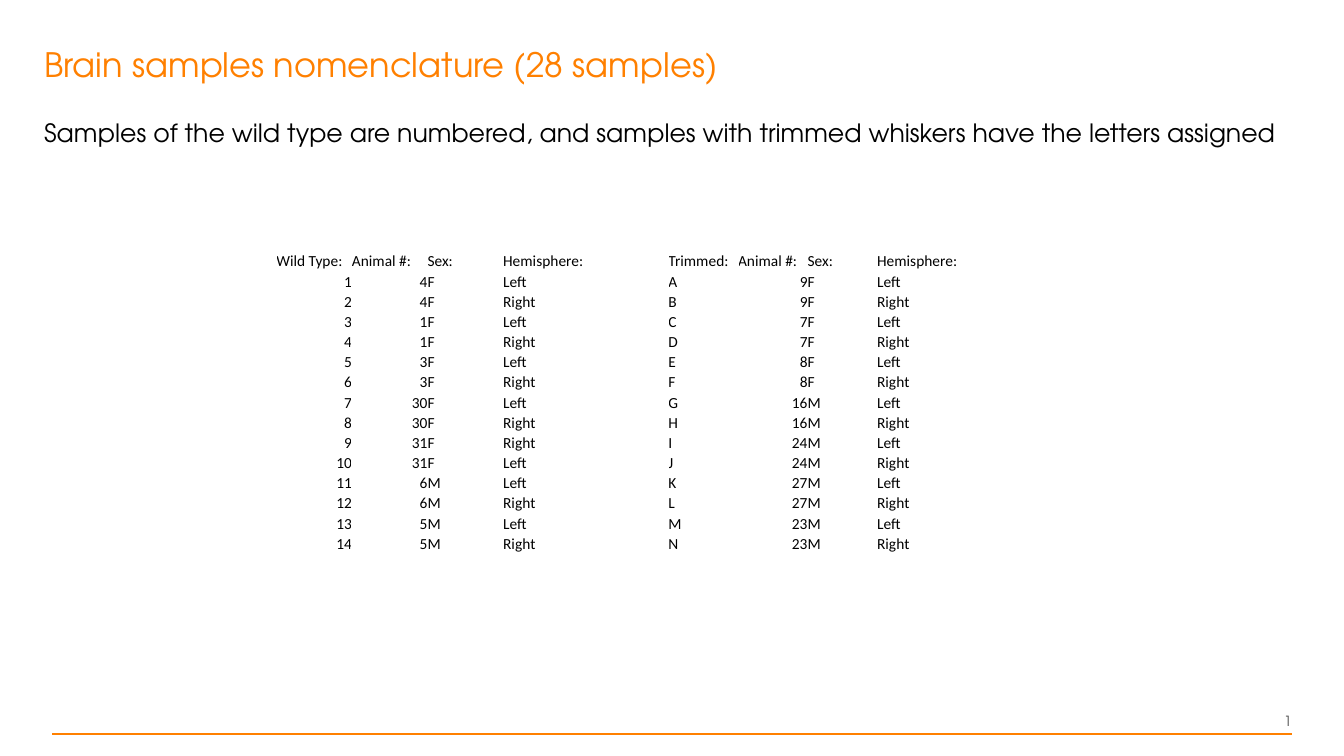
from pptx import Presentation
from pptx.dml.color import RGBColor
from pptx.enum.shapes import MSO_CONNECTOR
from pptx.enum.text import MSO_ANCHOR, PP_ALIGN
from pptx.oxml.ns import qn
from pptx.util import Inches, Pt

ORANGE = RGBColor(0xFF, 0x80, 0x00)
BLACK = RGBColor(0x00, 0x00, 0x00)
GRAY = RGBColor(0x4C, 0x4C, 0x4C)
HEADING_FONT = "TeX Gyre Adventor"
TABLE_FONT = "Calibri"
STRAIGHT = MSO_CONNECTOR.STRAIGHT
LEFT, RIGHT = PP_ALIGN.LEFT, PP_ALIGN.RIGHT
TOP, MIDDLE, BOTTOM = MSO_ANCHOR.TOP, MSO_ANCHOR.MIDDLE, MSO_ANCHOR.BOTTOM

# Each animal gives two samples: animal number, sex, hemisphere order
WILD_ANIMALS = [
    (4, "F", "LR"), (1, "F", "LR"), (3, "F", "LR"), (30, "F", "LR"),
    (31, "F", "RL"), (6, "M", "LR"), (5, "M", "LR"),
]
TRIMMED_ANIMALS = [
    (9, "F", "LR"), (7, "F", "LR"), (8, "F", "LR"), (16, "M", "LR"),
    (24, "M", "LR"), (27, "M", "LR"), (23, "M", "LR"),
]
HEMISPHERES = {"L": "Left", "R": "Right"}
COLUMN_WIDTHS = [0.75, 0.75, 0.75, 0.89, 0.75, 0.69, 0.69, 0.69, 0.89]
ROW_HEIGHT = 0.2


def write_paragraph(para, text, font, size, color, align=LEFT):
    para.text = text
    para.alignment = align
    for span in para.runs:
        span.font.name = font
        span.font.size = Pt(size)
        span.font.color.rgb = color


def add_text_box(page, left, top, width, height, anchor):
    box = page.shapes.add_textbox(
        Inches(left), Inches(top), Inches(width), Inches(height))
    box.text_frame.word_wrap = True
    box.text_frame.vertical_anchor = anchor
    return box.text_frame


def add_rule(page, left, right, y):
    rule = page.shapes.add_connector(
        STRAIGHT, Inches(left), Inches(y), Inches(right), Inches(y))
    rule.line.color.rgb = ORANGE
    rule.line.width = Pt(1.5)
    properties = rule._element.spPr
    properties.append(properties.makeelement(qn("a:effectLst"), {}))


def list_samples(labels, animals):
    sides = [(number, sex, HEMISPHERES[side])
             for number, sex, order in animals for side in order]
    return [(label, str(number), sex, hemisphere)
            for label, (number, sex, hemisphere) in zip(labels, sides)]


def fill_cell(cell, text):
    cell.fill.background()
    cell.margin_left = cell.margin_right = 0
    cell.margin_top = cell.margin_bottom = 0
    cell.vertical_anchor = BOTTOM
    para = cell.text_frame.paragraphs[0]
    if text:
        align = RIGHT if text.isdigit() else LEFT
        write_paragraph(para, text, TABLE_FONT, 11, BLACK, align)
    else:
        # An empty cell keeps the small size so that the row stays low
        para._p.get_or_add_endParaRPr().set("sz", "1100")


def add_sample_table(page, left, top, rows):
    frame = page.shapes.add_table(
        len(rows), len(COLUMN_WIDTHS), Inches(left), Inches(top),
        Inches(sum(COLUMN_WIDTHS)), Inches(ROW_HEIGHT * len(rows)))
    table = frame.table
    table.first_row = False
    table.horz_banding = False
    for column, width in zip(table.columns, COLUMN_WIDTHS):
        column.width = Inches(width)
    for table_row, texts in zip(table.rows, rows):
        table_row.height = Inches(ROW_HEIGHT)
        for cell, text in zip(table_row.cells, texts):
            fill_cell(cell, text)


def main():
    deck = Presentation()
    deck.slide_width = Inches(13.33)
    deck.slide_height = Inches(7.5)
    page = deck.slides.add_slide(deck.slide_layouts[6])

    # Footer line and page number
    add_rule(page, 0.52, 12.81, 7.28)
    footer = add_text_box(page, 9.91, 6.95, 3, 0.4, MIDDLE)
    write_paragraph(footer.paragraphs[0], "1", HEADING_FONT, 10, GRAY, RIGHT)

    # Title and explanation
    heading = add_text_box(page, 0.34, 0.43, 12.66, 1.45, TOP)
    title = heading.paragraphs[0]
    write_paragraph(title, "Brain samples nomenclature (28 samples)",
                    HEADING_FONT, 24, ORANGE)
    explanation = heading.add_paragraph()
    write_paragraph(
        explanation,
        "Samples of the wild type are numbered, and samples with trimmed "
        "whiskers have the letters assigned", HEADING_FONT, 18, BLACK)
    title.line_spacing = explanation.line_spacing = 0.9
    explanation.space_before = Pt(26)

    # Wild type and trimmed samples side by side
    wild = list_samples([str(n) for n in range(1, 15)], WILD_ANIMALS)
    trimmed = list_samples("ABCDEFGHIJKLMN", TRIMMED_ANIMALS)
    shared = ("Animal #:", "Sex:", "Hemisphere:")
    rows = [("Wild Type:", *shared, "", "Trimmed:", *shared)]
    rows += [(*left, "", *right) for left, right in zip(wild, trimmed)]
    add_sample_table(page, 2.74, 2.49, rows)

    deck.save("out.pptx")


if __name__ == "__main__":
    main()
